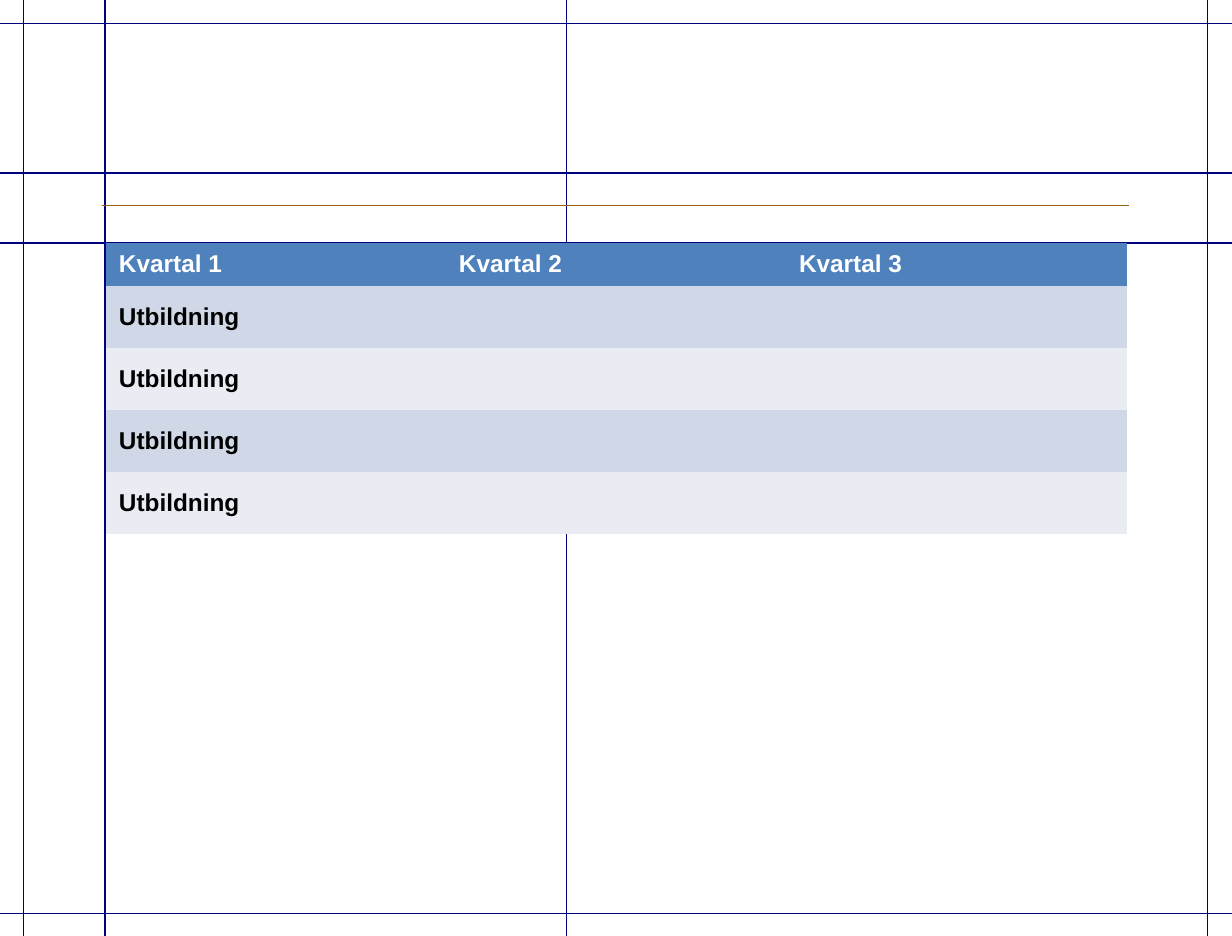
from lxml import etree
from pptx import Presentation
from pptx.dml.color import RGBColor
from pptx.enum.shapes import MSO_CONNECTOR as CONN
from pptx.enum.text import MSO_ANCHOR
from pptx.oxml.ns import qn
from pptx.util import Cm, Pt

NAVY = RGBColor(0x00, 0x00, 0x80)
BROWN = RGBColor(0x9C, 0x61, 0x14)
BLUE = RGBColor(0x4F, 0x81, 0xBD)
BAND_DARK = RGBColor(0xD0, 0xD8, 0xE7)
BAND_LIGHT = RGBColor(0xE9, 0xEC, 0xF3)
WHITE = RGBColor(0xFF, 0xFF, 0xFF)
BLACK = RGBColor(0x00, 0x00, 0x00)

W, H = 25, 19
NO_GRID_STYLE = "{2D5ABB26-0587-4C30-8999-92F81FD0307C}"

prs = Presentation()
prs.slide_width, prs.slide_height = Cm(W), Cm(H)
s = prs.slides.add_slide(prs.slide_layouts[6])

guides = [(0, y, W, y, NAVY) for y in (4.93, 0.48, 3.51, 18.54)]
guides += [(x, 0, x, H, NAVY) for x in (0.48, 24.51, 11.5, 2.13)]
title_rule = (2.06, 4.17, 22.91, 4.17, BROWN)

for x1, y1, x2, y2, color in guides + [title_rule]:
    ln = s.shapes.add_connector(CONN.STRAIGHT, Cm(x1), Cm(y1), Cm(x2), Cm(y2))
    ln.line.color.rgb = color
    ln.line.width = Pt(0.75)
    etree.SubElement(ln._element.spPr, qn("a:effectLst"))

rows = [["Kvartal 1", "Kvartal 2", "Kvartal 3"]] + [["Utbildning", "", ""]] * 4
col_w, head_h, row_h = 6.9, 0.87, 1.26
body_count = len(rows) - 1

gf = s.shapes.add_table(len(rows), 3, Cm(2.16), Cm(4.93),
                        Cm(3 * col_w), Cm(head_h + body_count * row_h))
tbl = gf.table
tbl._tbl.tblPr.find(qn("a:tableStyleId")).text = NO_GRID_STYLE
tbl.horz_banding = False

for col in tbl.columns:
    col.width = Cm(col_w)

for i, texts in enumerate(rows):
    tbl.rows[i].height = Cm(row_h if i else head_h)
    if i == 0:
        fill, color = BLUE, WHITE
    else:
        fill, color = (BAND_DARK if i % 2 else BAND_LIGHT), BLACK
    for j, text in enumerate(texts):
        cell = tbl.cell(i, j)
        cell.fill.solid()
        cell.fill.fore_color.rgb = fill
        cell.vertical_anchor = MSO_ANCHOR.MIDDLE
        p = cell.text_frame.paragraphs[0]
        p.font.size = Pt(14)
        if text:
            r = p.add_run()
            r.text = text
            for name, value in {"name": "Arial", "size": Pt(14), "bold": True}.items():
                setattr(r.font, name, value)
            r.font.color.rgb = color

prs.save("out.pptx")
